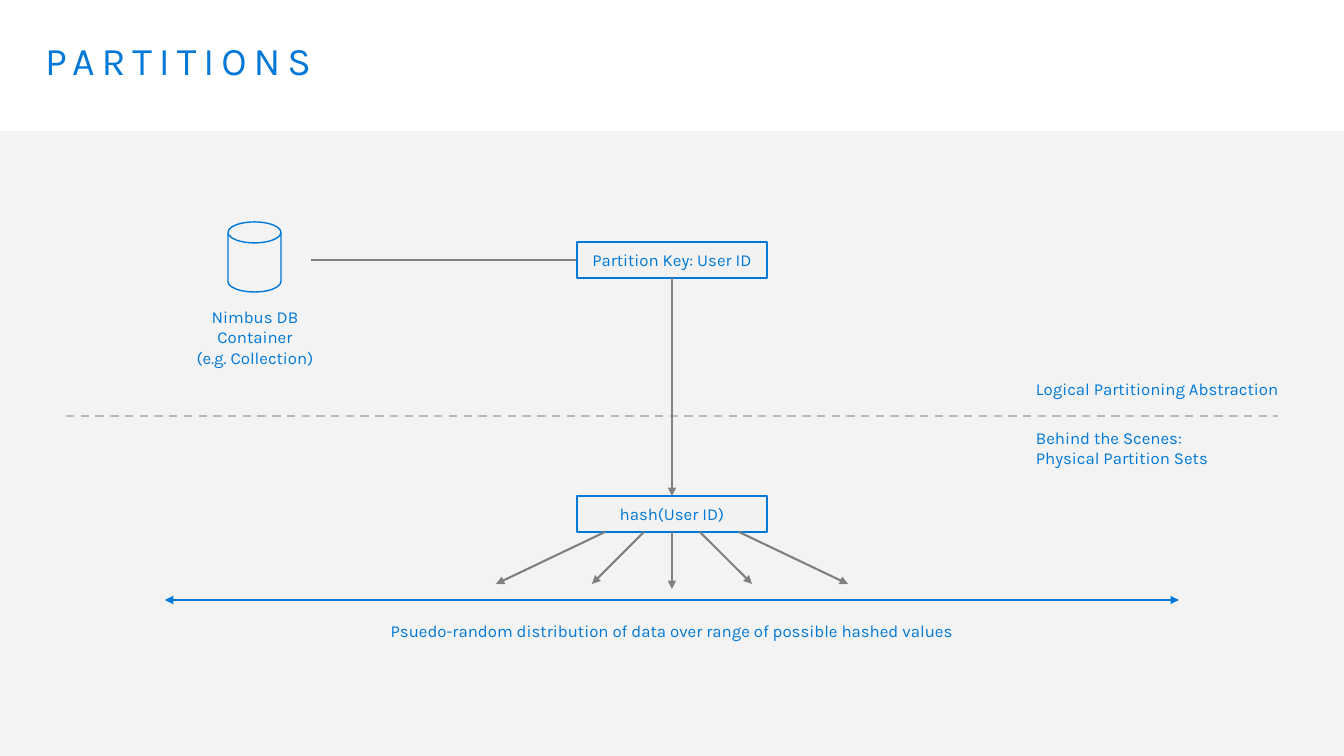
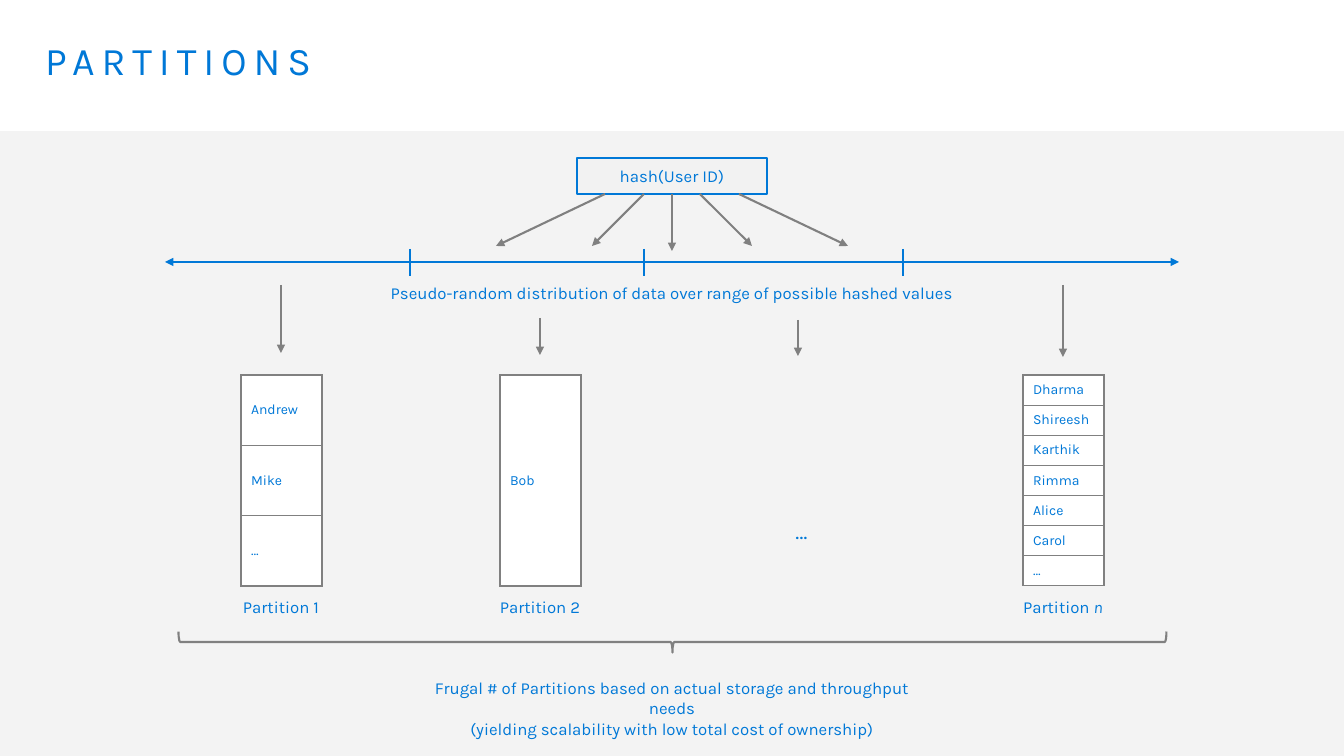
from collections import namedtuple
from dataclasses import dataclass

from lxml.etree import SubElement
from pptx import Presentation
from pptx.dml.color import RGBColor
from pptx.enum.dml import MSO_LINE
from pptx.enum.shapes import MSO_CONNECTOR, MSO_SHAPE
from pptx.enum.text import MSO_ANCHOR, MSO_AUTO_SIZE, PP_ALIGN
from pptx.oxml import parse_xml
from pptx.oxml.ns import nsdecls, qn
from pptx.util import Pt

EMU_PER_PX = 12192000 / 1344

Box = namedtuple("Box", "x y w h")


@dataclass(frozen=True)
class Theme:
    font: str = "Karla"
    blue: str = "0078D7"
    gray: str = "808080"
    dash: str = "B9B9B9"
    panel: str = "F2F2F2"
    white: str = "FFFFFF"
    title: int = 28
    dots: int = 16
    body: int = 12
    cell: int = 10
    stroke: float = 1.5
    thin: float = 1


T = Theme()
SLIDE = Box(0, 0, 1344, 756)
BAND = Box(0, 131, 1344, 625)
TITLE = Box(29, 32, 1285, 99)
AXIS_DROP = 104  # from the top of the hash box to the axis


def px(n):
    return round(n * EMU_PER_PX)


def emu(box):
    return [px(n) for n in box]


def rgb(color):
    return RGBColor.from_string(color)


def add_run(p, text, size=T.body, italic=None):
    r = p.add_run()
    r.text = text
    r.font.name = T.font
    r.font.size = Pt(size)
    r.font.italic = italic
    r.font.color.rgb = rgb(T.blue)
    return r


def add_text(s, box, *lines, size=T.body, align=PP_ALIGN.CENTER):
    """Each line is a paragraph; returns the last one."""
    tf = s.shapes.add_textbox(*emu(box)).text_frame
    tf.word_wrap = True
    for i, line in enumerate(lines):
        p = tf.add_paragraph() if i else tf.paragraphs[0]
        p.alignment = align
        add_run(p, line, size)
    return p


def add_preset(s, kind, box, fill=None, line=None, width=T.stroke):
    sp = s.shapes.add_shape(kind, *emu(box))
    sp.shadow.inherit = False
    if fill:
        sp.fill.solid()
        sp.fill.fore_color.rgb = rgb(fill)
    else:
        sp.fill.background()
    if line:
        sp.line.color.rgb = rgb(line)
        sp.line.width = Pt(width)
    else:
        sp.line.fill.background()
    return sp


def add_line(s, x1, y1, x2, y2, color=T.gray, ends=(), dash=None):
    """ends names the arrowheads: headEnd at the start, tailEnd at the end."""
    c = s.shapes.add_connector(MSO_CONNECTOR.STRAIGHT, *emu((x1, y1, x2, y2)))
    c.line.color.rgb = rgb(color)
    c.line.width = Pt(T.stroke)
    if dash:
        c.line.dash_style = dash
    for end in ends:
        SubElement(c.line._get_or_add_ln(), qn(f"a:{end}"), type="triangle")
    SubElement(c.element.spPr, qn("a:effectLst"))


def add_arrow(s, x1, y1, x2, y2):
    add_line(s, x1, y1, x2, y2, ends=["tailEnd"])


def add_label_box(s, box, text):
    tf = add_preset(s, MSO_SHAPE.RECTANGLE, box, T.panel, T.blue).text_frame
    tf.vertical_anchor = MSO_ANCHOR.MIDDLE
    p = tf.paragraphs[0]
    p.alignment = PP_ALIGN.CENTER
    add_run(p, text)


def add_band(s):
    """Puts the translucent panel on the layout that the slides share."""
    band = add_preset(s, MSO_SHAPE.RECTANGLE, BAND, T.panel)
    color = band.element.spPr.find(f"{qn('a:solidFill')}/{qn('a:srgbClr')}")
    SubElement(color, qn("a:alpha"), val="89000")
    s.slide_layout.shapes.element.insert(2, band.element)


def add_title(s, text):
    sp = s.shapes.title
    sp.left, sp.top, sp.width, sp.height = emu(TITLE)
    tf = sp.text_frame
    tf.auto_size = MSO_AUTO_SIZE.NONE
    tf.vertical_anchor = MSO_ANCHOR.TOP
    tf.margin_left = tf.margin_right = px(16)
    tf.margin_top = tf.margin_bottom = px(10)
    p = tf.paragraphs[0]
    p.alignment = PP_ALIGN.LEFT
    p.line_spacing = 0.9
    add_run(p, text, T.title).font._element.set("spc", "500")


def add_hash_range(s, box, caption):
    """Hash box on top, arrows fanning out to the axis, caption below."""
    cx, top = box.x + box.w // 2, box.y
    add_label_box(s, Box(cx - 95, top, 190, 36), "hash(User ID)")
    axis = top + AXIS_DROP
    add_line(s, box.x, axis, box.x + box.w, axis, T.blue, ["headEnd", "tailEnd"])
    add_text(s, Box(cx - 308, axis + 16, 616, 30), caption)
    bottom = top + 36
    add_arrow(s, cx, bottom, cx, bottom + 57)
    for side in (-1, 1):
        for start, end in ((28, 80), (67, 176)):
            add_arrow(s, cx + side * start, bottom, cx + side * end, bottom + 52)


def add_container(s, box):
    cx = box.x + box.w // 2
    can = add_preset(s, MSO_SHAPE.CAN, Box(cx - 27, box.y, 53, 70), None, T.blue, T.thin)
    can.adjustments[0] = 0.395
    add_text(s, Box(box.x, box.y + 80, box.w, 70),
             "Nimbus DB Container", "(e.g. Collection)")


def add_divider(s, box):
    """Dashed line with the two layer names at its right end."""
    right = box.x + box.w
    add_line(s, box.x, box.y, right, box.y, T.dash, dash=MSO_LINE.DASH)
    add_text(s, Box(right - 252, box.y - 42, 302, 30),
             "Logical Partitioning Abstraction", align=PP_ALIGN.LEFT)
    add_text(s, Box(right - 252, box.y + 7, 252, 50),
             "Behind the Scenes:", "Physical Partition Sets", align=PP_ALIGN.LEFT)


def add_borders(cell):
    tc_pr = cell._tc.get_or_add_tcPr()
    for i, side in enumerate("LRTB"):
        tc_pr.insert(i, parse_xml(
            f'<a:ln{side} {nsdecls("a")} w="{Pt(T.thin)}"><a:solidFill>'
            f'<a:srgbClr val="{T.gray}"/></a:solidFill></a:ln{side}>'))


def add_name_table(s, box, names):
    table = s.shapes.add_table(len(names), 1, *emu(box)).table
    table.first_row = table.horz_banding = False
    for row, name in zip(table.rows, names):
        row.height = px(box.h) // len(names)
        cell = row.cells[0]
        cell.fill.solid()
        cell.fill.fore_color.rgb = rgb(T.white)
        cell.vertical_anchor = MSO_ANCHOR.MIDDLE
        add_run(cell.text_frame.paragraphs[0], name, T.cell)
        add_borders(cell)


def add_partition(s, box, names, number, arrow):
    """A named table with its arrow above and its label below."""
    cx = box.x + box.w // 2
    add_arrow(s, cx, arrow[0], cx, arrow[1])
    add_name_table(s, box, names)
    p = add_text(s, Box(cx - 60, box.y + box.h + 6, 120, 30), "Partition ")
    add_run(p, number, italic=number == "n" or None)


def add_summary(s, box):
    """Brace across the box, with the conclusion centred below it."""
    cx, cy = box.x + box.w // 2, box.y + 10
    brace = add_preset(s, MSO_SHAPE.LEFT_BRACE,
                       Box(cx - 10, cy - box.w // 2, 21, box.w), None, T.gray)
    brace.rotation = 270
    add_text(s, Box(cx - 259, box.y + 41, 518, 70),
             "Frugal # of Partitions based on actual storage and throughput needs",
             "(yielding scalability with low total cost of ownership)")


def new_slide(prs):
    s = prs.slides.add_slide(prs.slide_layouts[5])
    add_title(s, "PARTITIONS")
    return s


def build_logical_slide(s):
    add_divider(s, Box(66, 416, 1212, 0))
    add_container(s, Box(180, 222, 150, 150))
    add_line(s, 311, 260, 577, 260)
    add_label_box(s, Box(577, 242, 190, 36), "Partition Key: User ID")
    add_arrow(s, 672, 278, 672, 496)
    add_hash_range(s, Box(165, 496, 1014, 151),
                   "Psuedo-random distribution of data over range of possible hashed values")


def build_physical_slide(s):
    hashes = Box(165, 158, 1014, 151)
    add_hash_range(s, hashes,
                   "Pseudo-random distribution of data over range of possible hashed values")
    axis = hashes.y + AXIS_DROP
    for x in (410, 644, 903):
        add_line(s, x, axis - 13, x, axis + 14, T.blue)
    partitions = (
        (241, ["Andrew", "Mike", "…"], "1", (285, 353)),
        (500, ["Bob"], "2", (318, 355)),
        (1023, ["Dharma", "Shireesh", "Karthik", "Rimma", "Alice", "Carol", "…"],
         "n", (285, 357)),
    )
    for x, names, number, arrow in partitions:
        add_partition(s, Box(x, 375, 81, 211), names, number, arrow)
    add_arrow(s, 798, 320, 798, 356)
    add_text(s, Box(744, 512, 115, 37), "…", size=T.dots)
    add_summary(s, Box(178, 632, 988, 111))


def main():
    prs = Presentation()
    prs.slide_width, prs.slide_height = px(SLIDE.w), px(SLIDE.h)
    logical, physical = new_slide(prs), new_slide(prs)
    add_band(logical)
    build_logical_slide(logical)
    build_physical_slide(physical)
    prs.save("out.pptx")


if __name__ == "__main__":
    main()
